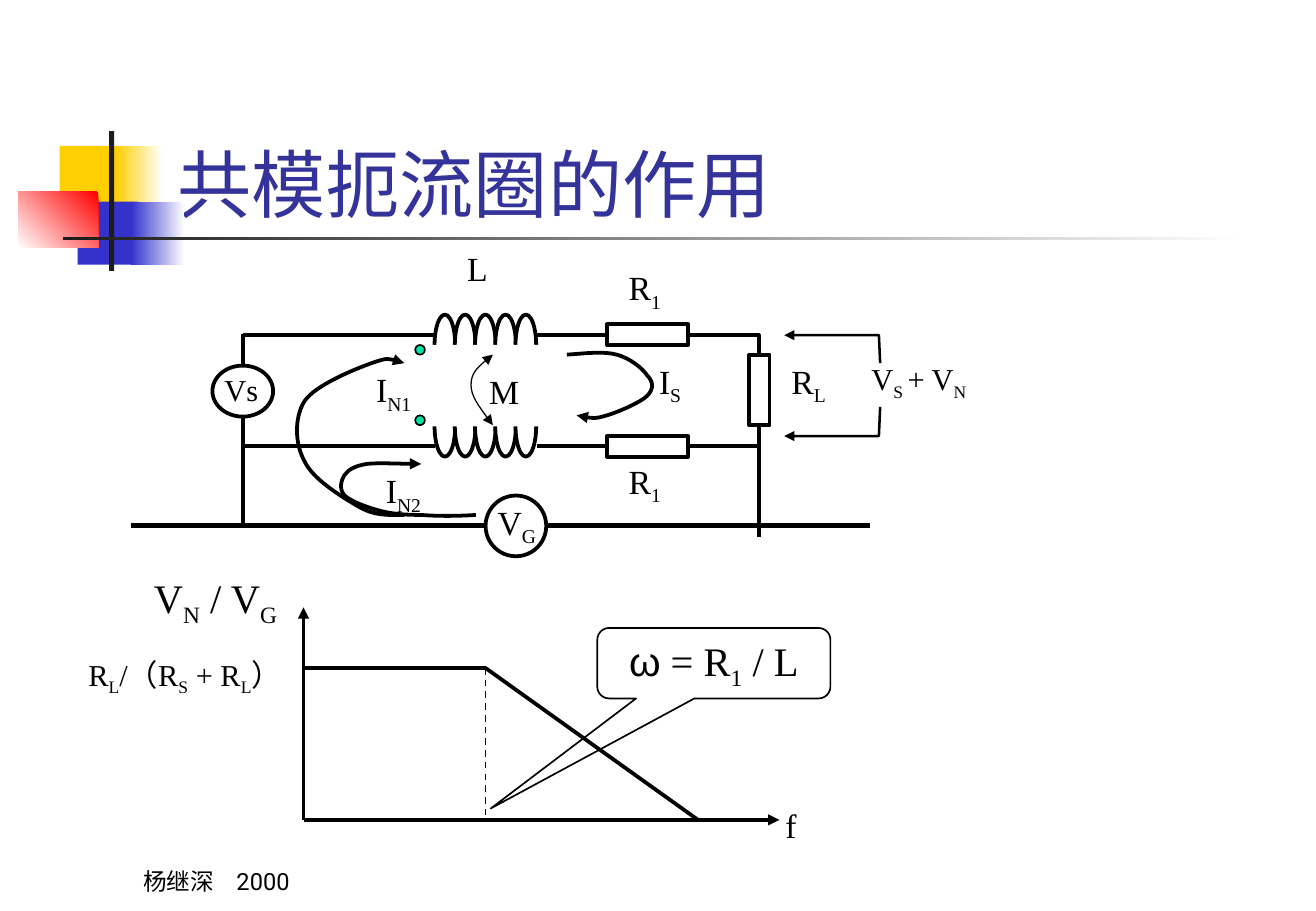
from dataclasses import dataclass

from lxml import etree
from pptx import Presentation
from pptx.dml.color import RGBColor
from pptx.enum.dml import MSO_LINE
from pptx.enum.shapes import MSO_CONNECTOR, MSO_SHAPE
from pptx.enum.text import MSO_ANCHOR, MSO_AUTO_SIZE, PP_ALIGN
from pptx.oxml.ns import qn
from pptx.util import Inches, Pt

RECTANGLE = MSO_SHAPE.RECTANGLE
OVAL = MSO_SHAPE.OVAL
CALLOUT = MSO_SHAPE.ROUNDED_RECTANGULAR_CALLOUT
STRAIGHT = MSO_CONNECTOR.STRAIGHT
DASH = MSO_LINE.DASH
BOTTOM, MIDDLE = MSO_ANCHOR.BOTTOM, MSO_ANCHOR.MIDDLE
LEFT, CENTER = PP_ALIGN.LEFT, PP_ALIGN.CENTER
NO_FIT = MSO_AUTO_SIZE.NONE

BLACK = RGBColor(0, 0, 0)
WHITE = RGBColor(255, 255, 255)
YELLOW = RGBColor(0xFF, 0xCF, 0x01)
BLUE = RGBColor(0x33, 0x33, 0xCC)
RED = RGBColor(0xFF, 0, 0)
CHARCOAL = RGBColor(0x1C, 0x1C, 0x1C)
TITLE_BLUE = RGBColor(0x33, 0x33, 0x99)
DOT_GREEN = RGBColor(0, 0xE4, 0xA8)

SERIF, SANS = "Times New Roman", "Roboto"
Point = tuple[float, float]


@dataclass
class Block:
    left: float
    top: float
    width: float
    height: float
    fill: RGBColor | None = WHITE
    fade_to: RGBColor | None = None
    angle: float = 180
    line: float = 0
    preset: int = RECTANGLE


@dataclass
class Wire:
    start: Point
    end: Point
    weight: float = 2.25
    tail: bool = False
    dashed: bool = False


@dataclass
class Path:
    points: list[Point]
    curved: bool = False
    weight: float = 2.25
    head: bool = False
    tail: bool = False


@dataclass
class Label:
    """In text, every second piece between bars is a subscript."""
    text: str
    left: float
    top: float
    width: float = 0.58
    height: float = 0.48
    size: float = 20


def style_line(line, weight: float, head: bool = False, tail: bool = False) -> None:
    line.color.rgb = BLACK
    line.width = Pt(weight)
    for wanted, tag in ((head, "a:headEnd"), (tail, "a:tailEnd")):
        if wanted:
            etree.SubElement(line._get_or_add_ln(), qn(tag), type="triangle")


def draw_block(page, block: Block):
    shape = page.shapes.add_shape(block.preset, Inches(block.left), Inches(block.top),
                                  Inches(block.width), Inches(block.height))
    shape.shadow.inherit = False
    if block.fill is None:
        shape.fill.background()
    elif block.fade_to is None:
        shape.fill.solid()
        shape.fill.fore_color.rgb = block.fill
    else:
        shape.fill.gradient()
        shape.fill.gradient_angle = block.angle
        for stop, color in zip(shape.fill.gradient_stops, (block.fill, block.fade_to)):
            stop.color.rgb = color
    if block.line:
        style_line(shape.line, block.line)
    else:
        shape.line.fill.background()
    return shape


def draw_wire(page, wire: Wire) -> None:
    connector = page.shapes.add_connector(STRAIGHT, *map(Inches, wire.start + wire.end))
    if wire.dashed:
        connector.line.dash_style = DASH
    style_line(connector.line, wire.weight, tail=wire.tail)
    etree.SubElement(connector._element.spPr, qn("a:effectLst"))


def draw_path(page, path: Path) -> None:
    corners = [(Inches(x), Inches(y)) for x, y in path.points]
    builder = page.shapes.build_freeform(*corners[0])
    builder.add_line_segments(corners[1:], close=False)
    shape = builder.convert_to_shape()
    shape.shadow.inherit = False
    shape.fill.background()
    style_line(shape.line, path.weight, path.head, path.tail)
    if path.curved:
        # Each three segments become one Bezier curve
        outline = next(shape._element.iter(qn("a:path")))
        segments = outline.findall(qn("a:lnTo"))
        for first in range(0, len(segments), 3):
            curve = etree.SubElement(outline, qn("a:cubicBezTo"))
            for segment in segments[first:first + 3]:
                curve.append(segment[0])
                outline.remove(segment)


def write_formula(para, text: str, size: float) -> None:
    for index, piece in enumerate(text.split("|")):
        if piece:
            span = para.add_run()
            span.text = piece
            span.font.size, span.font.name = Pt(size), SERIF
            span.font.color.rgb = BLACK
            if index % 2:
                span.font._element.set("baseline", "-25000")


def add_box(page, left: float, top: float, width: float, height: float):
    box = page.shapes.add_textbox(*map(Inches, (left, top, width, height)))
    box.text_frame.word_wrap = True
    return box.text_frame


def draw_label(page, label: Label) -> None:
    frame = add_box(page, label.left, label.top, label.width, label.height)
    write_formula(frame.paragraphs[0], label.text, label.size)


DECORATION = [
    Block(0.49, 1.2, 0.52, 0.52, YELLOW), Block(0.95, 1.2, 0.39, 0.52, WHITE, YELLOW),
    Block(0.64, 1.66, 0.5, 0.52, BLUE), Block(1.08, 1.66, 0.44, 0.52, WHITE, BLUE),
    Block(0.15, 1.58, 0.66, 0.46, RED, WHITE, 225),
    Block(0.9, 1.08, 0.04, 1.15, CHARCOAL), Block(0.52, 1.95, 9.75, 0.03, WHITE, CHARCOAL),
]
# Coil turns, the mask over their inner halves, then sources and resistors
COILS = [Block(3.58 + turn / 6, top, 0.17, 0.5, line=2.25, preset=OVAL)
         for top in (2.59, 3.26) for turn in range(5)]
PARTS = [
    Block(3.42, 2.84, 1.17, 0.67),
    Block(1.75, 3.01, 0.5, 0.42, line=2.25, preset=OVAL),
    *(Block(3.42, top, 0.08, 0.08, DOT_GREEN, line=1, preset=OVAL) for top in (2.84, 3.42)),
    *(Block(5, top, 0.67, 0.17, line=2.25) for top in (2.67, 3.59)),
    Block(6.17, 2.92, 0.17, 0.58, line=2.25),
]
WIRES = [
    Wire((2, 2.76), (3.58, 2.76)), Wire((2, 3), (2, 2.75)), Wire((2, 3.42), (2, 4.33)),
    Wire((2, 3.67), (3.58, 3.67)), *(Wire((4.42, y), (5, y)) for y in (2.76, 3.67)),
    Wire((1.08, 4.33), (7.17, 4.33), 3), Wire((6.25, 3.67), (6.25, 4.42)),
]
GROUND_SOURCE = Block(4, 4.08, 0.5, 0.5, line=2.25, preset=OVAL)
AXES = [
    Wire((2.5, 6.75), (2.5, 5), tail=True), Wire((2.5, 6.75), (6.42, 6.75), tail=True),
    Wire((4, 5.5), (4, 6.75), 1, dashed=True),
]
PATHS = [
    Path([(5.67, 2.76), (6.25, 2.76), (6.25, 2.92)]),
    Path([(5.67, 3.67), (6.25, 3.67), (6.25, 3.51)]),
    Path([(3.92, 4.24), (3.76, 4.25), (3.6, 4.25), (3.47, 4.24), (3.33, 4.24), (3.21, 4.23),
          (3.11, 4.2), (3, 4.17), (2.88, 4.12), (2.84, 4.08), (2.79, 4.03), (2.81, 3.95),
          (2.84, 3.91), (2.87, 3.87), (2.91, 3.84), (3.02, 3.82), (3.12, 3.81), (3.29, 3.82),
          (3.47, 3.82)], curved=True, tail=True),
    Path([(3.33, 4.24), (3.22, 4.24), (3.1, 4.25), (2.97, 4.18), (2.83, 4.1), (2.58, 3.95),
          (2.51, 3.8), (2.43, 3.66), (2.42, 3.44), (2.51, 3.3), (2.6, 3.17), (2.92, 3.04),
          (3.06, 2.99), (3.2, 2.94), (3.26, 2.96), (3.33, 2.99)], curved=True, tail=True),
    Path([(4.67, 2.92), (4.82, 2.91), (4.97, 2.89), (5.08, 2.92), (5.19, 2.95), (5.29, 3.03),
          (5.33, 3.09), (5.38, 3.14), (5.39, 3.2), (5.33, 3.26), (5.28, 3.31), (5.1, 3.39),
          (5, 3.42), (4.9, 3.45), (4.83, 3.44), (4.75, 3.42)], curved=True, tail=True),
    Path([(4.06, 2.92), (3.97, 2.99), (3.88, 3.07), (3.88, 3.17), (3.88, 3.26), (3.97, 3.38),
          (4.06, 3.5)], curved=True, weight=0.75, head=True, tail=True),
    *(Path([(6.46, y), (7.24, y), (7.25, end)], weight=1.5, head=True)
      for y, end in ((3.59, 3.35), (2.76, 2.99))),
    Path([(2.5, 5.5), (4, 5.5), (5.75, 6.75)]),
]
LABELS = [
    Label("Vs", 1.75, 3.01, height=0.4, size=18), Label("L", 3.75, 1.99),
    Label("R|1", 5.08, 2.15), Label("R|1", 5.08, 3.74), Label("R|L", 6.42, 2.92),
    Label("V|G", 4, 4.08), Label("I|N1", 3, 2.99), Label("I|N2", 3.08, 3.82),
    Label("I|S", 5.33, 2.92), Label("M", 3.93, 3), Label("f", 6.37, 6.58),
    Label("V|S |+ V|N", 7.08, 2.92, 1.17, 0.44, 18),
    Label("V|N| / V|G", 1.17, 4.67, 1.42, 0.56, 24),
    Label("R|L|/（R|S| + R|L|）", 0.63, 5.35, 2.08, 0.44, 18),
]


def main() -> None:
    deck = Presentation()
    deck.slide_width, deck.slide_height = Inches(10.84), Inches(7.5)
    page = deck.slides.add_slide(deck.slide_layouts[5])

    # Title
    title = page.shapes.title
    title.left, title.top, title.width, title.height = map(Inches, (1.36, 0.67, 9.23, 1.25))
    frame = title.text_frame
    frame.text = "共模扼流圈的作用"
    frame.vertical_anchor, frame.auto_size = BOTTOM, NO_FIT
    frame.paragraphs[0].alignment = LEFT
    font = frame.paragraphs[0].runs[0].font
    font.size, font.name, font.color.rgb = Pt(44), SANS, TITLE_BLUE

    # Circuit and frequency response
    for block in DECORATION + COILS + PARTS:
        draw_block(page, block)
    for wire in WIRES + AXES:
        draw_wire(page, wire)
    draw_block(page, GROUND_SOURCE)
    for path in PATHS:
        draw_path(page, path)
    for label in LABELS:
        draw_label(page, label)

    # Corner frequency callout
    callout = draw_block(page, Block(4.92, 5.17, 1.92, 0.58, None, line=1, preset=CALLOUT))
    for index, value in enumerate((-0.957, 2.062, 0.167)):
        callout.adjustments[index] = value
    frame = callout.text_frame
    frame.word_wrap, frame.vertical_anchor = False, MIDDLE
    para = frame.paragraphs[0]
    para.alignment = CENTER
    write_formula(para, "ω|| = R|1| / L", 24)
    para.runs[0].font.name = "Arial"

    # Author and year, set apart by a tab stop
    frame = add_box(page, 1.08, 6.92, 2.26, 0.5)
    frame.vertical_anchor = BOTTOM
    para = frame.paragraphs[0]
    para.text = "杨继深\t2000"
    tabs = etree.SubElement(para._p.get_or_add_pPr(), qn("a:tabLst"))
    etree.SubElement(tabs, qn("a:tab"), pos=str(Inches(0.77)), algn="l")
    for span in para.runs:
        span.font.size, span.font.name, span.font.color.rgb = Pt(14), SANS, BLACK
    deck.save("out.pptx")


if __name__ == "__main__":
    main()
